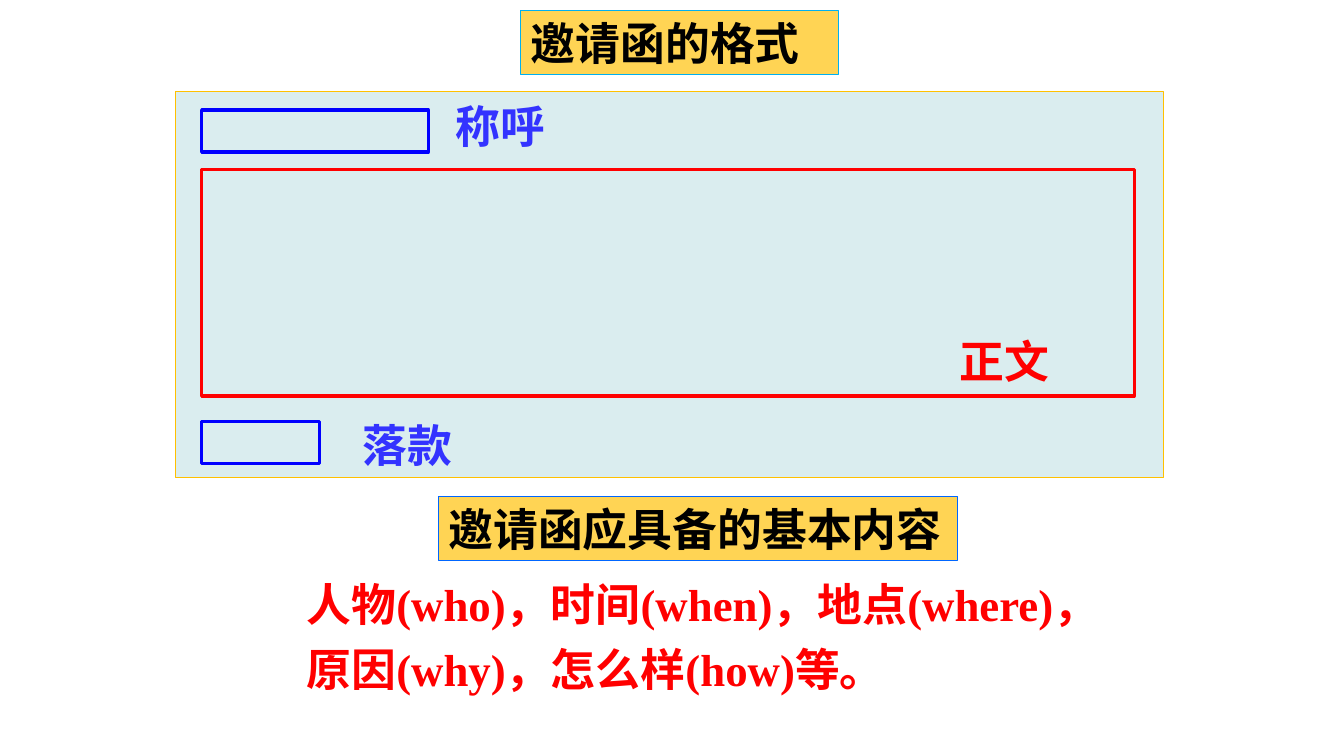
from lxml import etree
from pptx import Presentation
from pptx import util as u
from pptx.dml.color import RGBColor
from pptx.enum import shapes, text
from pptx.oxml.ns import qn

THEME = {
    "font": "Times New Roman", "size": 32, "leading": 1.2,
    "thin": 0.75, "thick": 2.25, "heading_opacity": 67000,
    "panel": "DAEDEF", "gold": "FFC000", "sky": "00B0F0", "azure": "0066FF",
    "blue": "0000FF", "label": "3333FF", "red": "FF0000", "black": "000000",
}
CELL = u.Inches(1) / 12  # the slide is 160 columns by 90 rows
LINE_ROWS = 7.55         # height of a box holding one line of text

prs = Presentation()
prs.slide_width, prs.slide_height = u.Inches(13.33), u.Inches(7.5)
s = prs.slides.add_slide(prs.slide_layouts[6])


def add_box(col, row, cols, rows, line=None, weight="thin", fill=None):
    """Add a rectangle on the grid, or a text box when no line is given."""
    area = [u.Emu(round(n * CELL)) for n in (col, row, cols, rows)]
    if line is None:
        return s.shapes.add_textbox(*area)
    sp = s.shapes.add_shape(shapes.MSO_SHAPE.RECTANGLE, *area)
    sp.shadow.inherit = False
    sp.line.color.rgb = RGBColor.from_string(THEME[line])
    sp.line.width = u.Pt(THEME[weight])
    if fill:
        sp.fill.solid()
        sp.fill.fore_color.rgb = RGBColor.from_string(THEME[fill])
    else:
        sp.fill.background()
    return sp


def write(sp, lines, color, leading=None):
    tf = sp.text_frame
    tf.word_wrap = True
    tf.auto_size = text.MSO_AUTO_SIZE.SHAPE_TO_FIT_TEXT
    tf.vertical_anchor = text.MSO_ANCHOR.TOP
    for i, line in enumerate(lines):
        p = tf.add_paragraph() if i else tf.paragraphs[0]
        p.alignment = text.PP_ALIGN.LEFT
        p.line_spacing = leading
        r = p.add_run()
        r.text = line
        r.font.name, r.font.size, r.font.bold = THEME["font"], u.Pt(THEME["size"]), True
        r.font.color.rgb = RGBColor.from_string(THEME[color])


# Letter panel
add_box(20.9, 10.9, 117.6, 46, "gold", fill="panel")

# Parts of the letter: frame, then its label
parts = [
    ("称呼", "label", (53, 11.15), "blue", (24, 13.1, 27, 5)),
    ("落款", "label", (42, 49.1), "blue", (24, 50.2, 14, 5)),
    ("正文", "red", (113, 39.1), "red", (24, 20.15, 111, 27)),
]
for label, label_color, label_at, frame_color, frame in parts:
    add_box(*frame, frame_color, "thick")
    write(add_box(*label_at, 18, LINE_ROWS), [label], label_color)

# Headings on translucent gold
headings = [
    ("邀请函的格式", 62, 1.3, 37.8, "sky"),
    ("邀请函应具备的基本内容", 52.2, 59.15, 61.8, "azure"),
]
for heading, col, row, cols, line in headings:
    sp = add_box(col, row, cols, LINE_ROWS, line, fill="gold")
    gold = sp._element.spPr.find(qn("a:solidFill"))[0]
    etree.SubElement(gold, qn("a:alpha")).set("val", str(THEME["heading_opacity"]))
    write(sp, [heading], "black")

# Basic contents
contents = ["人物(who)，时间(when)，地点(where)，", "原因(why)，怎么样(how)等。"]
write(add_box(35.3, 66.8, 99.7, 16.7), contents, "red", THEME["leading"])

prs.save("out.pptx")
